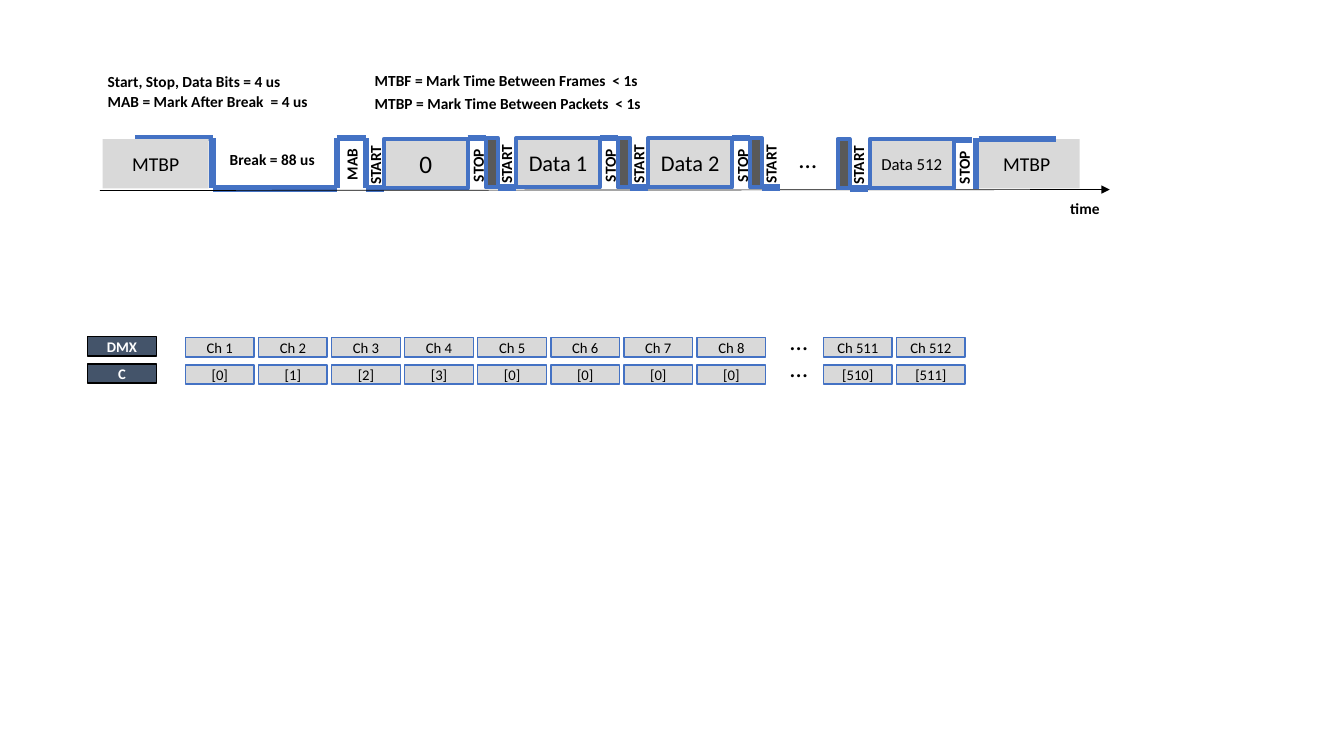
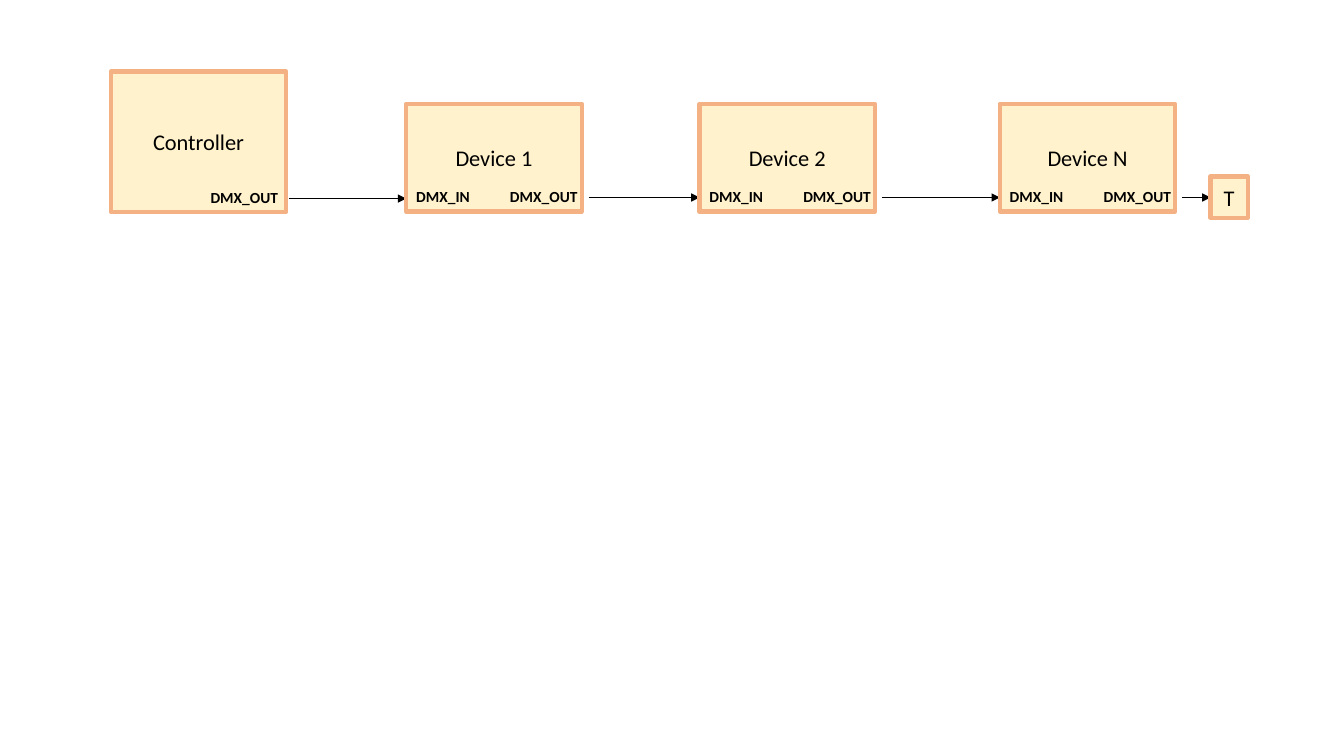
from lxml import etree
from pptx import Presentation
from pptx.dml.color import RGBColor
from pptx.enum.shapes import MSO_CONNECTOR, MSO_SHAPE
from pptx.enum.text import MSO_ANCHOR, MSO_AUTO_SIZE, PP_ALIGN
from pptx.oxml.ns import qn
from pptx.util import Pt

RECT = MSO_SHAPE.RECTANGLE
STRAIGHT = MSO_CONNECTOR.STRAIGHT
MIDDLE = MSO_ANCHOR.MIDDLE
GROW = MSO_AUTO_SIZE.SHAPE_TO_FIT_TEXT
CENTER, LEFT = PP_ALIGN.CENTER, PP_ALIGN.LEFT

COLORS = {
    "ink": "000000", "paper": "FFFFFF", "signal": "4472C4", "byte": "D9D9D9",
    "gap": "595959", "heading": "44546A", "device": "FFF2CC", "edge": "F4B183",
}
FONT = "Calibri"
LABEL_HEIGHT = 20.9

HIGH, LOW = 98.6, 134.6
BYTE_WIDTH, BYTE_HEIGHT = 59.8, 35.3
BIT_WIDTH, GAP_WIDTH = 12.8, 8.6
MTBP_WIDTH = 75.6
FIRST_MTBP, LAST_MTBP = 73.4, 695.5
SLOT_LEFT, SLOT_PITCH = 274.3, 94.4
LAST_SLOT_LEFT, LAST_GAP_LEFT = 621.4, 598.3
NUDGE = 0.7

LEAD_IN = [
    (96.5, HIGH), (151.9, HIGH), (151.9, LOW), (240.5, LOW),
    (240.5, HIGH), (261.4, HIGH), (261.4, LOW), (SLOT_LEFT, LOW),
]
BYTES = [("0", 18), ("Data 1", 16), ("Data 2", 16)]
NOTES = [
    ("Start, Stop, Data Bits = 4 us", 69.8, 48.2, 139.7),
    ("MAB = Mark After Break  = 4 us", 69.8, 62.6, 159.1),
    ("MTBF = Mark Time Between Frames  < 1s", 260.6, 47.5, 204.5),
    ("MTBP = Mark Time Between Packets  < 1s", 260.6, 63.4, 209.5),
    ("Break = 88 us", 157, 103.7, 75.6),
    ("time", 757.4, 139, 36),
]

CHANNEL_ROWS = [
    ("DMX", [f"Ch {n}" for n in range(1, 9)], ["Ch 511", "Ch 512"]),
    ("C", ["[0]", "[1]", "[2]", "[3]", "[0]", "[0]", "[0]", "[0]"], ["[510]", "[511]"]),
]
CELL_WIDTH, CELL_HEIGHT = 49, 13.7
ROW_TOP, ROW_PITCH, COLUMN_PITCH = 241.2, 19.4, 52.2
HEADING_LEFT, CHANNEL_LEFT, ELLIPSIS_LEFT, LAST_CHANNEL_LEFT = 62.6, 132.5, 557.3, 588.2

CHAIN = [
    ("Controller", 79.2, 51.1, False, 64.1, 131),
    ("Device 1", 290.2, 74.2, True, 67, 130.3),
    ("Device 2", 499.7, 74.2, True, 67, 130.3),
    ("Device N", 714.2, 74.2, True, 67, 130.3),
]
DEVICE_WIDTH, DEVICE_BOTTOM = 125.3, 151.2
IN_WIDTH, OUT_WIDTH = 53.3, 63.4
TERMINATOR = ("T", 864.7, 126, 26.6, 29.5)


def rgb(name):
    return RGBColor.from_string(COLORS[name])


def write(shape, text, size, align, color="ink", bold=False):
    paragraph = shape.text_frame.paragraphs[0]
    paragraph.alignment = align
    run = paragraph.add_run()
    run.text = text
    for key, value in {"name": FONT, "size": Pt(size), "bold": bold}.items():
        setattr(run.font, key, value)
    run.font.color.rgb = rgb(color)


def box(slide, frame, fill, edge=None, weight=3, text="", size=11, **style):
    shape = slide.shapes.add_shape(RECT, *map(Pt, frame))
    shape.shadow.inherit = False
    shape.fill.solid()
    shape.fill.fore_color.rgb = rgb(fill)
    if edge:
        shape.line.color.rgb = rgb(edge)
        shape.line.width = Pt(weight)
    else:
        shape.line.fill.background()
    if text:
        shape.text_frame.vertical_anchor = MIDDLE
        write(shape, text, size, CENTER, **style)


def label(slide, text, left, top, width, size=11, bold=True, height=LABEL_HEIGHT, rotation=0):
    shape = slide.shapes.add_textbox(*map(Pt, (left, top, width, height)))
    shape.rotation = rotation
    shape.text_frame.word_wrap = False
    shape.text_frame.auto_size = GROW
    write(shape, text, size, LEFT, bold=bold)


def upright(slide, text, center_x, center_y, width):
    label(slide, text, center_x - width / 2, center_y - LABEL_HEIGHT / 2, width, rotation=270)


def ellipsis(slide, left, top):
    label(slide, "…", left, top, 27.4, size=18, bold=False, height=28.8)


def line(slide, start, end, color="signal", weight=4.5, arrow=False):
    connector = slide.shapes.add_connector(STRAIGHT, *map(Pt, (*start, *end)))
    connector.line.color.rgb = rgb(color)
    connector.line.width = Pt(weight)
    properties = connector._element.spPr
    if arrow:
        etree.SubElement(properties.get_or_add_ln(), qn("a:tailEnd"), type="triangle")
    etree.SubElement(properties, qn("a:effectLst"))


def arrow(slide, start, end):
    line(slide, start, end, "ink", 0.5, arrow=True)


def byte(slide, text, size, left, drop=0):
    box(slide, (left, HIGH + drop, BYTE_WIDTH, BYTE_HEIGHT), "byte", "signal", text=text, size=size)


def mtbp(slide, left):
    box(slide, (left, HIGH + NUDGE, MTBP_WIDTH, BYTE_HEIGHT), "byte", text="MTBP", size=14)


def stop_bit(slide, byte_left, drop=0):
    left = byte_left + BYTE_WIDTH
    line(slide, (left, HIGH + drop), (left + BIT_WIDTH, HIGH + drop))
    upright(slide, "STOP", left + 7.4, 117.7 + drop, 38.9)


def start_bit(slide, gap_left, drop=0):
    box(slide, (gap_left, HIGH + drop, GAP_WIDTH, BYTE_HEIGHT), "gap", "signal")
    left, level = gap_left + GAP_WIDTH, LOW - NUDGE + drop
    line(slide, (left, level), (left + BIT_WIDTH, level))
    upright(slide, "START", left + 6.3, 116.3 + drop, 43.9)


def draw_frame(slide):
    mtbp(slide, LAST_MTBP)
    for start, end in zip(LEAD_IN, LEAD_IN[1:]):
        line(slide, start, end)
    mtbp(slide, FIRST_MTBP)
    slots = [SLOT_LEFT + i * SLOT_PITCH for i in range(len(BYTES))]
    for i, ((text, size), left) in enumerate(zip(BYTES, slots)):
        byte(slide, text, size, left, NUDGE if i == 0 else 0)
    arrow(slide, (71.3, 136.1), (792.7, 135.4))
    upright(slide, "MAB", 251.3, 117, 37.4)
    upright(slide, "START", 268.2, 117, 43.9)
    for left in slots:
        stop_bit(slide, left)
        start_bit(slide, left + BYTE_WIDTH + BIT_WIDTH)
    for note in NOTES:
        label(slide, *note)
    byte(slide, "Data 512", 12, LAST_SLOT_LEFT, NUDGE)
    stop_bit(slide, LAST_SLOT_LEFT, 2 * NUDGE)
    line(slide, (697, HIGH), (697, LOW + NUDGE))
    line(slide, (699.1, HIGH + NUDGE), (754.6, HIGH + NUDGE))
    start_bit(slide, LAST_GAP_LEFT, NUDGE)
    ellipsis(slide, 563.8, HIGH)


def draw_channels(slide):
    for row, (heading, first, last) in enumerate(CHANNEL_ROWS):
        top = ROW_TOP + row * ROW_PITCH
        box(slide, (HEADING_LEFT, top - NUDGE, CELL_WIDTH, CELL_HEIGHT), "heading", "ink", 1,
            heading, 10.5, color="paper", bold=True)
        for left, names in ((CHANNEL_LEFT, first), (LAST_CHANNEL_LEFT, last)):
            for column, name in enumerate(names):
                box(slide, (left + column * COLUMN_PITCH, top, CELL_WIDTH, CELL_HEIGHT),
                    "byte", "signal", 1, name, 10.5)
        ellipsis(slide, ELLIPSIS_LEFT, top - 12.2)


def draw_chain(slide):
    targets = [device[1] for device in CHAIN[1:]] + [TERMINATOR[1]]
    for (name, left, top, has_input, out_offset, port_top), target in zip(CHAIN, targets):
        box(slide, (left, top, DEVICE_WIDTH, DEVICE_BOTTOM - top), "device", "edge",
            text=name, size=16)
        if has_input:
            label(slide, "DMX_IN", left, port_top, IN_WIDTH)
        out_left = left + out_offset
        label(slide, "DMX_OUT", out_left, port_top, OUT_WIDTH)
        wire = port_top + 10.8
        arrow(slide, (out_left + OUT_WIDTH, wire), (target, wire))
    name, *frame = TERMINATOR
    box(slide, frame, "device", "edge", text=name, size=16)


def main():
    deck = Presentation()
    deck.slide_width, deck.slide_height = Pt(960), Pt(540)
    blank = deck.slide_layouts[6]
    timing = deck.slides.add_slide(blank)
    draw_frame(timing)
    draw_channels(timing)
    draw_chain(deck.slides.add_slide(blank))
    deck.save("out.pptx")


if __name__ == "__main__":
    main()
